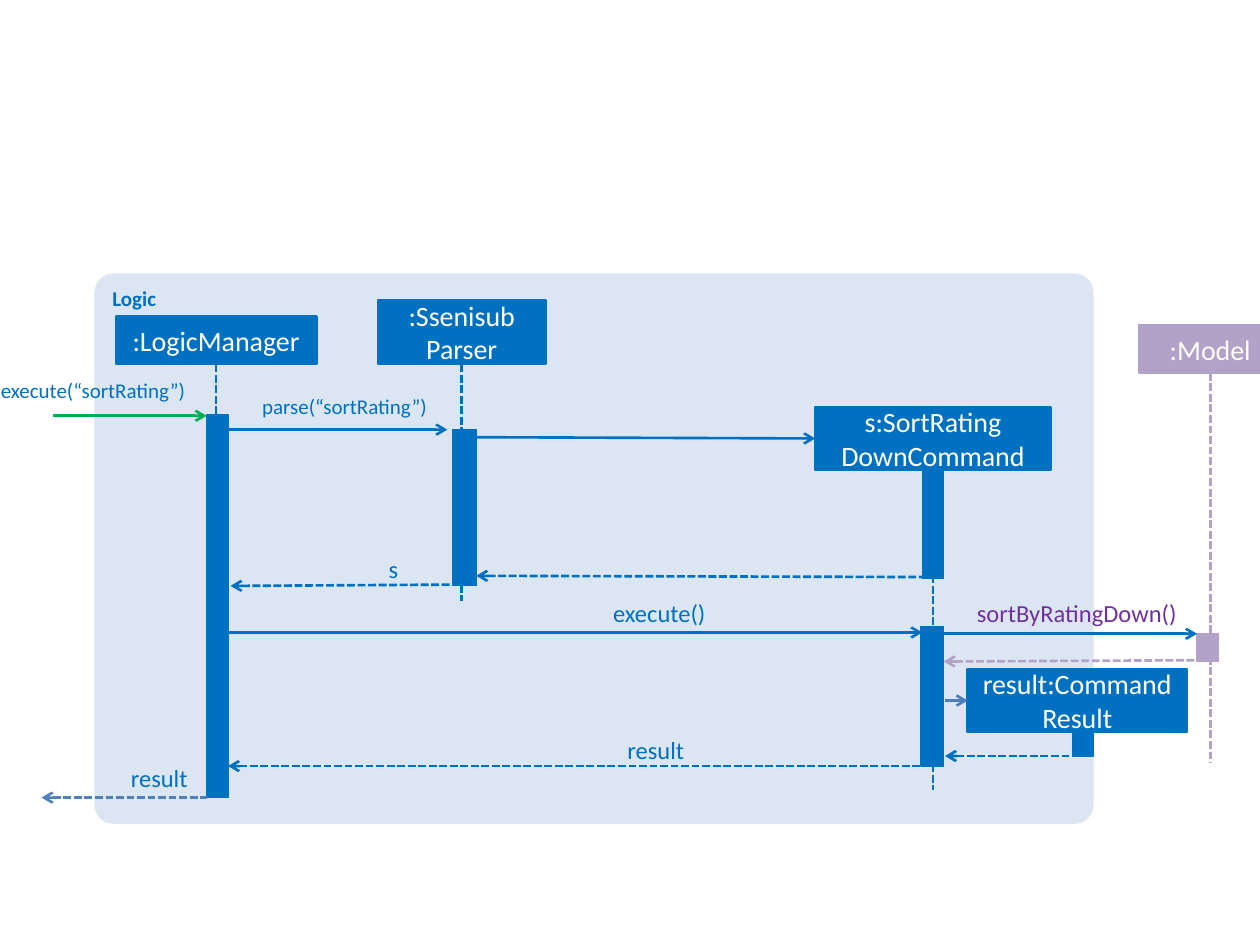
from typing import NamedTuple, Optional

from lxml import etree
from pptx import Presentation
from pptx.dml.color import RGBColor
from pptx.enum.dml import MSO_LINE
from pptx.enum.shapes import MSO_CONNECTOR, MSO_SHAPE
from pptx.enum.text import MSO_ANCHOR, MSO_AUTO_SIZE, PP_ALIGN
from pptx.oxml.ns import qn
from pptx.util import Inches, Pt

RECT, ROUND_RECT = MSO_SHAPE.RECTANGLE, MSO_SHAPE.ROUNDED_RECTANGLE
STRAIGHT = MSO_CONNECTOR.STRAIGHT
DASH = MSO_LINE.SQUARE_DOT
LEFT, CENTER, RIGHT = PP_ALIGN.LEFT, PP_ALIGN.CENTER, PP_ALIGN.RIGHT
TOP, MIDDLE = MSO_ANCHOR.TOP, MSO_ANCHOR.MIDDLE
GROW = MSO_AUTO_SIZE.SHAPE_TO_FIT_TEXT
BOTTOM_SIDE, LEFT_SIDE = 2, 1

FONT = "Calibri"
BLUE = RGBColor(0x00, 0x70, 0xC0)
PALE_BLUE = RGBColor(0xDC, 0xE6, 0xF2)
STEEL = RGBColor(0x4F, 0x81, 0xBD)
MUTED_STEEL = RGBColor(0x4B, 0x7E, 0xBC)
GREEN = RGBColor(0x00, 0xB0, 0x50)
LILAC = RGBColor(0xB3, 0xA2, 0xC7)
PURPLE = RGBColor(0x70, 0x30, 0xA0)
WHITE = RGBColor(0xFF, 0xFF, 0xFF)


class Participant(NamedTuple):
    text: str
    x: float
    y: float
    w: float
    h: float
    life_end: Optional[float]
    color: RGBColor = BLUE


class Bar(NamedTuple):
    x: float
    y: float
    w: float
    h: float
    color: RGBColor = BLUE


class Message(NamedTuple):
    x1: float
    y1: float
    x2: float
    y2: float
    color: RGBColor = BLUE
    reply: bool = False  # dashed, arrowhead at the left end
    target: Optional[str] = None  # participant whose left side it joins


class Label(NamedTuple):
    text: str
    x: float
    y: float
    w: float
    h: float
    size: int = 14
    color: RGBColor = BLUE


PARTICIPANTS = [
    Participant(":LogicManager", 0.92, 2.51, 1.59, 0.38, 5.75),
    Participant(":Ssenisub\nParser", 3, 2.38, 1.33, 0.51, 4.77),
    Participant("s:SortRating\nDownCommand", 6.47, 3.23, 1.87, 0.5, 6.27),
    Participant(":Model", 9.04, 2.58, 1.13, 0.38, 6.05, LILAC),
    Participant("result:Command Result", 7.68, 5.31, 1.74, 0.5, None),
]

BARS = [
    Bar(1.64, 3.29, 0.17, 3.04),
    Bar(3.59, 3.41, 0.19, 1.24),
    Bar(7.32, 3.73, 0.17, 0.86),
    Bar(7.31, 4.97, 0.18, 1.11),
    Bar(9.5, 5.03, 0.17, 0.22, LILAC),
    Bar(8.51, 5.81, 0.17, 0.19),
]

MESSAGES = [
    Message(0.42, 3.3, 1.64, 3.3, GREEN),
    Message(1.81, 3.41, 3.55, 3.41),
    Message(3.73, 3.47, 6.47, 3.48, target="s:SortRating\nDownCommand"),
    Message(3.78, 4.57, 7.42, 4.58, reply=True),
    Message(1.83, 4.65, 3.57, 4.64, reply=True),
    Message(1.81, 5.02, 7.32, 5.02),
    Message(7.49, 5.03, 9.5, 5.03),
    Message(7.49, 5.25, 9.5, 5.24, LILAC, reply=True),
    Message(7.5, 5.56, 7.68, 5.56, MUTED_STEEL, target="result:Command Result"),
    Message(7.5, 6, 8.56, 6, reply=True),
    Message(1.81, 6.08, 7.33, 6.08, reply=True),
    Message(0.33, 6.33, 1.64, 6.33, STEEL, reply=True),
]

LABELS = [
    Label("execute(“sortRating”)", -0.42, 3, 1.89, 0.2, 12),
    Label("parse(“sortRating”)", 1.83, 3.12, 1.56, 0.2, 12),
    Label("s", 2.92, 4.4, 0.24, 0.24),
    Label("execute()", 4.66, 4.75, 0.94, 0.24),
    Label("sortByRatingDown()", 7.58, 4.75, 1.76, 0.24, color=PURPLE),
    Label("result", 4.75, 5.83, 0.68, 0.24),
    Label("result", 0.66, 6.06, 0.83, 0.24),
]


def write(tf, text: str, *, size: int, color: RGBColor, align=CENTER,
          anchor=MIDDLE, bold: bool = False) -> None:
    tf.word_wrap = True
    tf.vertical_anchor = anchor
    for i, line in enumerate(text.split("\n")):
        p = tf.add_paragraph() if i else tf.paragraphs[0]
        p.alignment = align
        r = p.add_run()
        r.text = line
        r.font.name, r.font.size, r.font.bold = FONT, Pt(size), bold
        r.font.color.rgb = color


def add_box(s, kind, x: float, y: float, w: float, h: float, fill: RGBColor,
            line_width: float = 0):
    sp = s.shapes.add_shape(kind, Inches(x), Inches(y), Inches(w), Inches(h))
    sp.shadow.inherit = False
    sp.fill.solid()
    sp.fill.fore_color.rgb = fill
    if line_width:
        sp.line.color.rgb = fill
        sp.line.width = Pt(line_width)
    else:
        sp.line.fill.background()
    return sp


def add_line(s, x1: float, y1: float, x2: float, y2: float, color: RGBColor,
             dashed: bool = False, arrow: Optional[str] = None):
    cx = s.shapes.add_connector(STRAIGHT, Inches(x1), Inches(y1), Inches(x2), Inches(y2))
    cx.line.color.rgb = color
    cx.line.width = Pt(1.5)
    if dashed:
        cx.line.dash_style = DASH
    if arrow:
        etree.SubElement(cx.line._get_or_add_ln(), qn(arrow), type="arrow")
    etree.SubElement(cx._element.spPr, qn("a:effectLst"))
    return cx


def add_participant(s, part: Participant):
    sp = add_box(s, RECT, part.x, part.y, part.w, part.h, part.color, 1.5)
    write(sp.text_frame, part.text, size=16, color=WHITE)
    if part.life_end is not None:
        x = part.x + part.w / 2
        cx = add_line(s, x, part.y + part.h, x, part.life_end, part.color, dashed=True)
        cx.begin_connect(sp, BOTTOM_SIDE)
    return sp


def add_message(s, msg: Message, boxes: dict) -> None:
    arrow = "a:headEnd" if msg.reply else "a:tailEnd"
    cx = add_line(s, msg.x1, msg.y1, msg.x2, msg.y2, msg.color, msg.reply, arrow)
    if msg.target:
        cx.end_connect(boxes[msg.target], LEFT_SIDE)


def add_label(s, label: Label) -> None:
    tb = s.shapes.add_textbox(Inches(label.x), Inches(label.y),
                              Inches(label.w), Inches(label.h))
    tf = tb.text_frame
    tf.margin_left = tf.margin_right = tf.margin_top = tf.margin_bottom = 0
    tf.auto_size = GROW
    write(tf, label.text, size=label.size, color=label.color, align=RIGHT, anchor=TOP)


def main() -> None:
    prs = Presentation()
    prs.slide_width, prs.slide_height = Inches(10), Inches(7.5)
    s = prs.slides.add_slide(prs.slide_layouts[6])

    # Logic component frame
    frame = add_box(s, ROUND_RECT, 0.75, 2.17, 7.93, 4.37, PALE_BLUE)
    frame.adjustments[0] = 0.035
    write(frame.text_frame, "Logic", size=12, color=BLUE, align=LEFT, anchor=TOP, bold=True)

    # Participants with lifelines, then activation bars
    boxes = {part.text: add_participant(s, part) for part in PARTICIPANTS}
    for bar in BARS:
        add_box(s, RECT, bar.x, bar.y, bar.w, bar.h, bar.color, 0.75)

    # Calls and replies with their labels
    for msg in MESSAGES:
        add_message(s, msg, boxes)
    for label in LABELS:
        add_label(s, label)

    prs.save("out.pptx")


if __name__ == "__main__":
    main()
